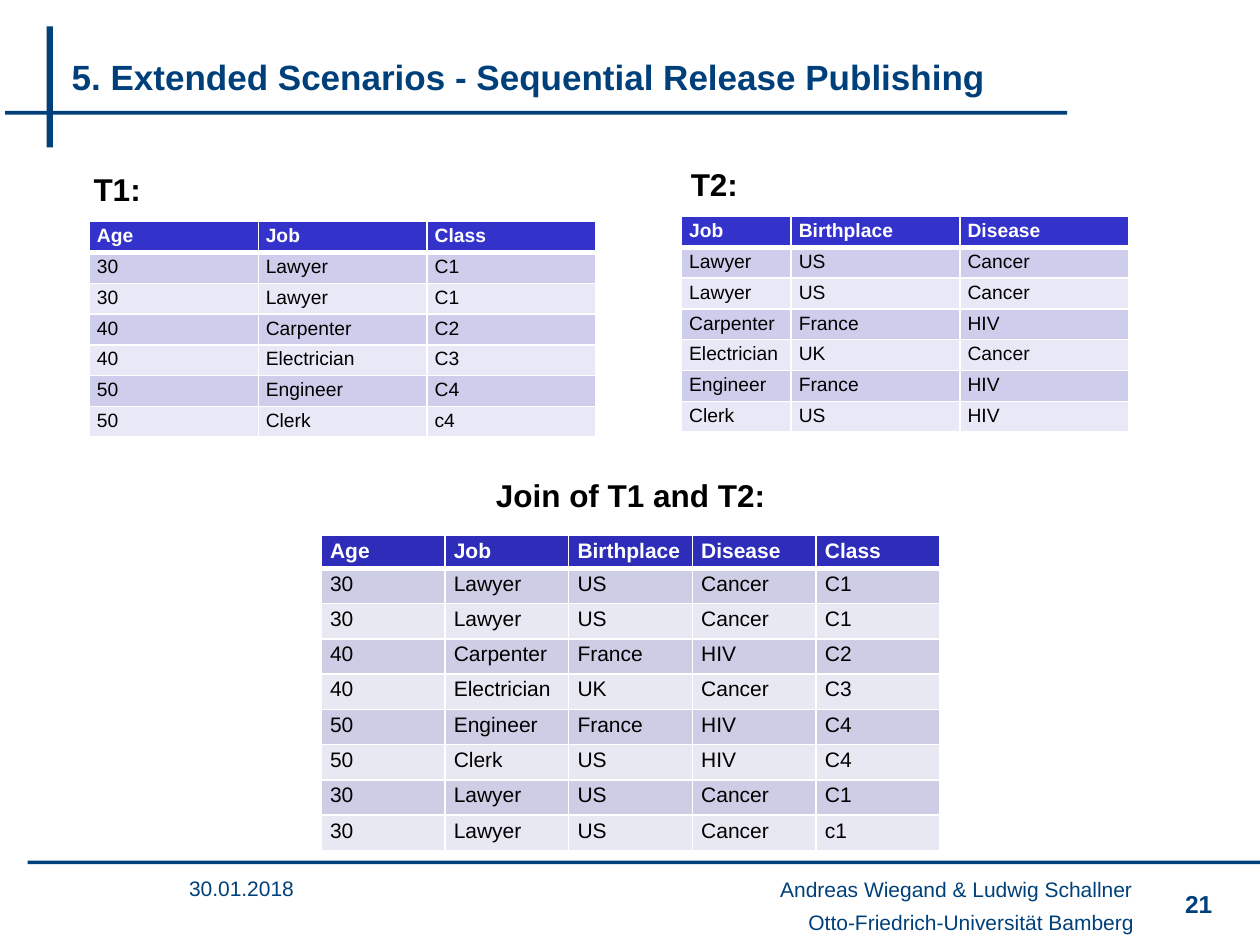
from lxml import etree
from pptx import Presentation
from pptx.dml.color import RGBColor
from pptx.enum.shapes import MSO_SHAPE
from pptx.enum.text import MSO_ANCHOR, PP_ALIGN
from pptx.oxml.ns import qn
from pptx.util import Inches, Pt

COLORS = {
    "navy": "00407A", "black": "000000", "white": "FFFFFF",
    "source_header": "3333CC", "source_dark": "CECEEC", "source_light": "E8E8F6",
    "join_header": "2D2DB9", "join_dark": "CDCDE6", "join_light": "E8E8F3",
}
FONT = "Arial"

T1_ROWS = [
    ("Age", "Job", "Class"),
    ("30", "Lawyer", "C1"),
    ("30", "Lawyer", "C1"),
    ("40", "Carpenter", "C2"),
    ("40", "Electrician", "C3"),
    ("50", "Engineer", "C4"),
    ("50", "Clerk", "c4"),
]
T2_ROWS = [
    ("Job", "Birthplace", "Disease"),
    ("Lawyer", "US", "Cancer"),
    ("Lawyer", "US", "Cancer"),
    ("Carpenter", "France", "HIV"),
    ("Electrician", "UK", "Cancer"),
    ("Engineer", "France", "HIV"),
    ("Clerk", "US", "HIV"),
]
JOIN_ROWS = [
    ("Age", "Job", "Birthplace", "Disease", "Class"),
    ("30", "Lawyer", "US", "Cancer", "C1"),
    ("30", "Lawyer", "US", "Cancer", "C1"),
    ("40", "Carpenter", "France", "HIV", "C2"),
    ("40", "Electrician", "UK", "Cancer", "C3"),
    ("50", "Engineer", "France", "HIV", "C4"),
    ("50", "Clerk", "US", "HIV", "C4"),
    ("30", "Lawyer", "US", "Cancer", "C1"),
    ("30", "Lawyer", "US", "Cancer", "c1"),
]


def color(name):
    return RGBColor.from_string(COLORS[name])


def write_text(text_frame, text, size=12, bold=False, ink="navy", align=PP_ALIGN.LEFT):
    paragraph = text_frame.paragraphs[0]
    paragraph.alignment = align
    run = paragraph.add_run()
    run.text = text
    run.font.name = FONT
    run.font.size = Pt(size)
    run.font.bold = bold
    run.font.color.rgb = color(ink)


def add_text(slide, box, text, anchor=MSO_ANCHOR.TOP, wrap=True, insets=(0.1, 0.1), **text_format):
    shape = slide.shapes.add_textbox(*map(Inches, box))
    text_frame = shape.text_frame
    text_frame.word_wrap = wrap
    text_frame.vertical_anchor = anchor
    text_frame.margin_left, text_frame.margin_right = map(Inches, insets)
    write_text(text_frame, text, **text_format)


def add_bar(slide, box):
    shape = slide.shapes.add_shape(MSO_SHAPE.RECTANGLE, *map(Inches, box))
    shape.shadow.inherit = False
    shape.fill.solid()
    shape.fill.fore_color.rgb = color("navy")
    shape.line.fill.background()


def set_borders(cell, top, bottom):
    """Give the cell white borders; top and bottom are widths in points."""
    properties = cell._tc.get_or_add_tcPr()
    widths = {"a:lnL": 1, "a:lnR": 1, "a:lnT": top, "a:lnB": bottom}
    for position, (tag, width) in enumerate(widths.items()):
        line = etree.Element(qn(tag), w=str(Pt(width)))
        fill = etree.SubElement(line, qn("a:solidFill"))
        etree.SubElement(fill, qn("a:srgbClr"), val=COLORS["white"])
        properties.insert(position, line)


def add_data_table(slide, left, top, rows, widths, heights, palette, size, side_inset):
    box = map(Inches, (left, top, sum(widths), sum(heights)))
    table = slide.shapes.add_table(len(rows), len(widths), *box).table
    for column, width in zip(table.columns, widths):
        column.width = Inches(width)
    for row_index, (values, height) in enumerate(zip(rows, heights)):
        table.rows[row_index].height = Inches(height)
        is_header = row_index == 0
        band = "header" if is_header else ("light", "dark")[row_index % 2]
        for column_index, value in enumerate(values):
            cell = table.cell(row_index, column_index)
            cell.margin_left = cell.margin_right = Inches(side_inset)
            cell.margin_top = cell.margin_bottom = Inches(0.03)
            cell.fill.solid()
            cell.fill.fore_color.rgb = color(f"{palette}_{band}")
            set_borders(cell, top=3 if row_index == 1 else 1, bottom=3 if is_header else 1)
            write_text(cell.text_frame, value, size=size, bold=is_header,
                       ink="white" if is_header else "black")


def add_heading(slide, box, text):
    add_text(slide, box, text, size=18, bold=True, ink="black", align=PP_ALIGN.CENTER)


def add_title_region(slide, left, top):
    # Crossing bars behind the title
    add_bar(slide, (left + 0.33, top, 0.05, 0.96))
    add_bar(slide, (left, top + 0.67, 8.43, 0.03))
    add_text(slide, (left + 0.43, top + 0.08, 8.62, 0.63),
             "5. Extended Scenarios - Sequential Release Publishing",
             anchor=MSO_ANCHOR.MIDDLE, wrap=False, size=20, bold=True)


def add_source_table(slide, left, top, name, rows, widths, heading_offset):
    add_heading(slide, (left + heading_offset, top - 0.46, 1.02, 0.4), name)
    add_data_table(slide, left, top, rows, widths, [1.71 / len(rows)] * len(rows),
                   "source", size=11, side_inset=0.06)


def add_join_table(slide, left, top):
    add_heading(slide, (left + 0.85, top - 0.52, 3.21, 0.4), "Join of T1 and T2:")
    heights = [0.24] + [0.28] * (len(JOIN_ROWS) - 1)
    add_data_table(slide, left, top, JOIN_ROWS, [4.91 / 5] * 5, heights,
                   "join", size=12, side_inset=0.07)


def add_footer(slide, left, top):
    add_bar(slide, (left, top, 9.78, 0.03))
    footer_format = {"anchor": MSO_ANCHOR.MIDDLE, "insets": (0.04, 0.02)}
    add_text(slide, (left + 1.24, top - 0.04, 1.42, 0.52), "30.01.2018", **footer_format)
    add_text(slide, (left + 2.79, top + 0.07, 6, 0.32), "Andreas Wiegand & Ludwig Schallner",
             align=PP_ALIGN.RIGHT, **footer_format)
    add_text(slide, (left + 1.95, top + 0.31, 6.85, 0.36), "Otto-Friedrich-Universität Bamberg",
             align=PP_ALIGN.RIGHT, **footer_format)
    # Page number
    add_text(slide, (left + 8.98, top + 0.18, 0.52, 0.36), "21",
             size=14, bold=True, align=PP_ALIGN.RIGHT)


def main():
    presentation = Presentation()
    presentation.slide_width = Inches(10)
    presentation.slide_height = Inches(7.5)
    slide = presentation.slides.add_slide(presentation.slide_layouts[6])
    add_title_region(slide, 0.04, 0.21)
    add_source_table(slide, 0.71, 1.76, "T1:", T1_ROWS, (1.34, 1.34, 1.34), -0.29)
    add_source_table(slide, 5.41, 1.72, "T2:", T2_ROWS, (0.87, 1.34, 1.34), -0.25)
    add_join_table(slide, 2.55, 4.25)
    add_footer(slide, 0.22, 6.83)
    presentation.save("out.pptx")


if __name__ == "__main__":
    main()
